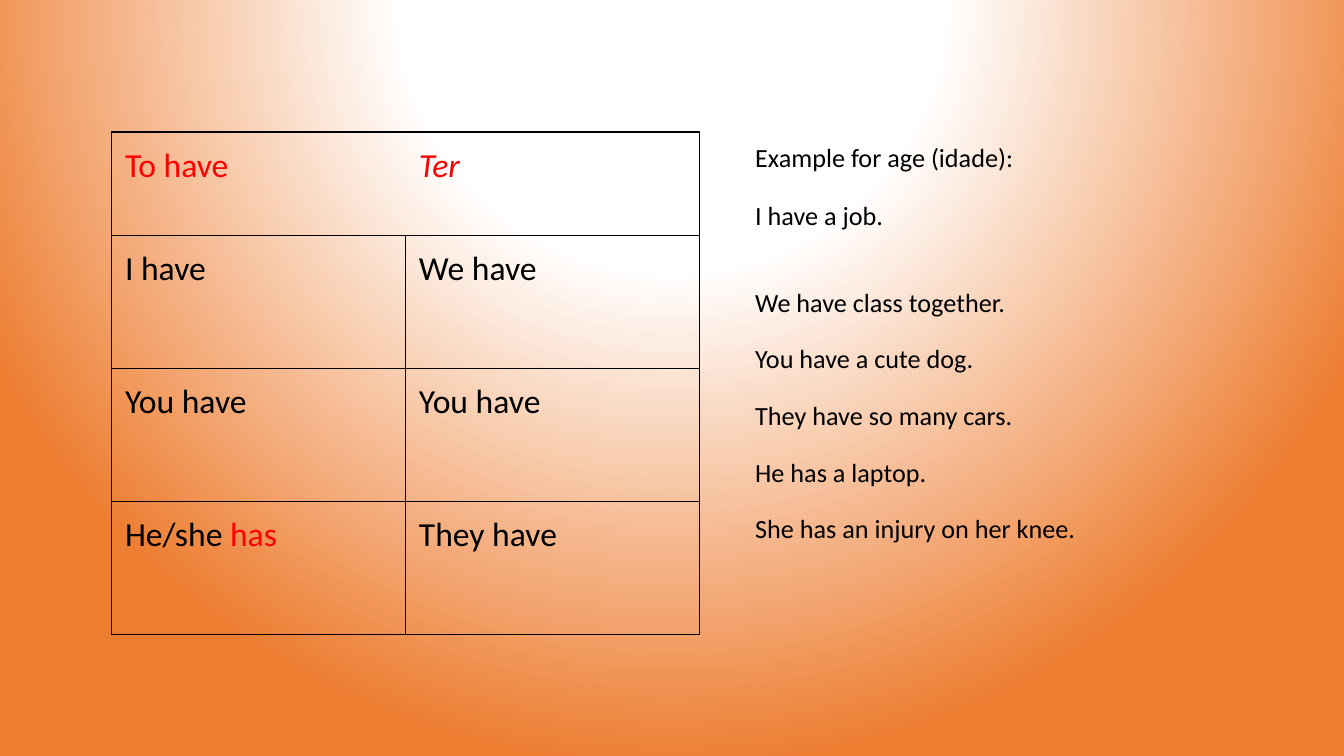
from pptx import Presentation
from pptx.dml.color import RGBColor
from pptx.enum.text import MSO_ANCHOR, MSO_AUTO_SIZE
from pptx.oxml import parse_xml
from pptx.oxml.ns import nsdecls
from pptx.util import Inches, Pt

# Content: each cell is a list of (text, format) runs
RED = {"color": "FF0000"}
VERB_TABLE = [
    [[("To have", RED)], [("Ter", {**RED, "italic": True})]],
    [[("I have", {})], [("We have", {})]],
    [[("You have", {})], [("You have", {})]],
    [[("He/she ", {}), ("has", RED)], [("They have", {})]],
]
# (text, space before in points)
EXAMPLES = [
    ("Example for age (idade):", 0),
    ("I have a job.", 21.3),
    ("We have class together.", 41.5),
    ("You have a cute dog.", 20.2),
    ("They have so many cars.", 20.2),
    ("He has a laptop.", 20.2),
    ("She has an injury on her knee.", 20.2),
]
GRADIENT = [(0, "FFFFFF"), (35, "FFFFFF"), (100, "ED7D31")]

# Layout
TOP, WIDTH, HEIGHT = 1.31, 5.83, 4.98
TABLE_LEFT, TEXT_LEFT = 1.11, 7.36
HEADER_HEIGHT, INSET = 1.03, 0.13


def rgb(value):
    return RGBColor.from_string(value)


def add_run(p, text, size=24, color="000000", italic=False):
    r = p.add_run()
    r.text = text
    r.font.name = "Calibri"
    r.font.size = Pt(size)
    r.font.italic = italic
    r.font.color.rgb = rgb(color)


def set_insets(box):
    box.margin_left = box.margin_right = Inches(INSET)
    box.margin_top = box.margin_bottom = Inches(INSET)


def border(side, width):
    """Cell border; a width of 0 leaves the side open."""
    fill = ('<a:solidFill><a:srgbClr val="000000"/></a:solidFill>'
            if width else "<a:noFill/>")
    return parse_xml(f'<a:{side} {nsdecls("a")} w="{Pt(width)}">{fill}</a:{side}>')


prs = Presentation()
prs.slide_width, prs.slide_height = Inches(13.33), Inches(7.5)
s = prs.slides.add_slide(prs.slide_layouts[1])
title = s.shapes.title.element
title.getparent().remove(title)

# Radial background
stops = "".join(f'<a:gs pos="{pos * 1000}"><a:srgbClr val="{color}"/></a:gs>'
                for pos, color in GRADIENT)
s.element.cSld.insert(0, parse_xml(
    f'<p:bg {nsdecls("p", "a")}><p:bgPr><a:gradFill rotWithShape="1">'
    f'<a:gsLst>{stops}</a:gsLst><a:path path="circle">'
    '<a:fillToRect l="50000" t="-80000" r="50000" b="180000"/></a:path>'
    '</a:gradFill><a:effectLst/></p:bgPr></p:bg>'))

# Example sentences
sp = s.placeholders[1]
sp.left, sp.top = Inches(TEXT_LEFT), Inches(TOP)
sp.width, sp.height = Inches(WIDTH), Inches(HEIGHT)
tf = sp.text_frame
tf.word_wrap = True
tf.auto_size = MSO_AUTO_SIZE.NONE
tf.vertical_anchor = MSO_ANCHOR.TOP
set_insets(tf)
for i, (text, before) in enumerate(EXAMPLES):
    p = tf.add_paragraph() if i else tf.paragraphs[0]
    p.line_spacing = 0.9
    p.space_before, p.space_after = Pt(before), Pt(0)
    pPr = p._p.get_or_add_pPr()
    pPr.set("marL", "0")
    pPr.set("indent", "0")
    pPr.append(parse_xml(f'<a:buNone {nsdecls("a")}/>'))
    add_run(p, text, size=18.7)

# Verb table
rows, cols = len(VERB_TABLE), len(VERB_TABLE[0])
table = s.shapes.add_table(rows, cols, Inches(TABLE_LEFT), Inches(TOP),
                           Inches(WIDTH), Inches(HEIGHT)).table
table.first_row = table.horz_banding = False
for i, row in enumerate(VERB_TABLE):
    body_height = (HEIGHT - HEADER_HEIGHT) / (rows - 1)
    table.rows[i].height = Inches(body_height if i else HEADER_HEIGHT)
    for j, runs in enumerate(row):
        cell = table.cell(i, j)
        set_insets(cell)
        cell.vertical_anchor = MSO_ANCHOR.TOP
        for text, fmt in runs:
            add_run(cell.text_frame.paragraphs[0], text, **fmt)
        # The header row has no divider between its cells
        widths = {
            "lnL": 0 if i == 0 and j > 0 else 0.75,
            "lnR": 0 if i == 0 and j < cols - 1 else 0.75,
            "lnT": 0.75 if i else 1.5,
            "lnB": 0.75,
        }
        tcPr = cell._tc.get_or_add_tcPr()
        for side, width in widths.items():
            tcPr.append(border(side, width))
        cell.fill.background()

prs.save("out.pptx")
